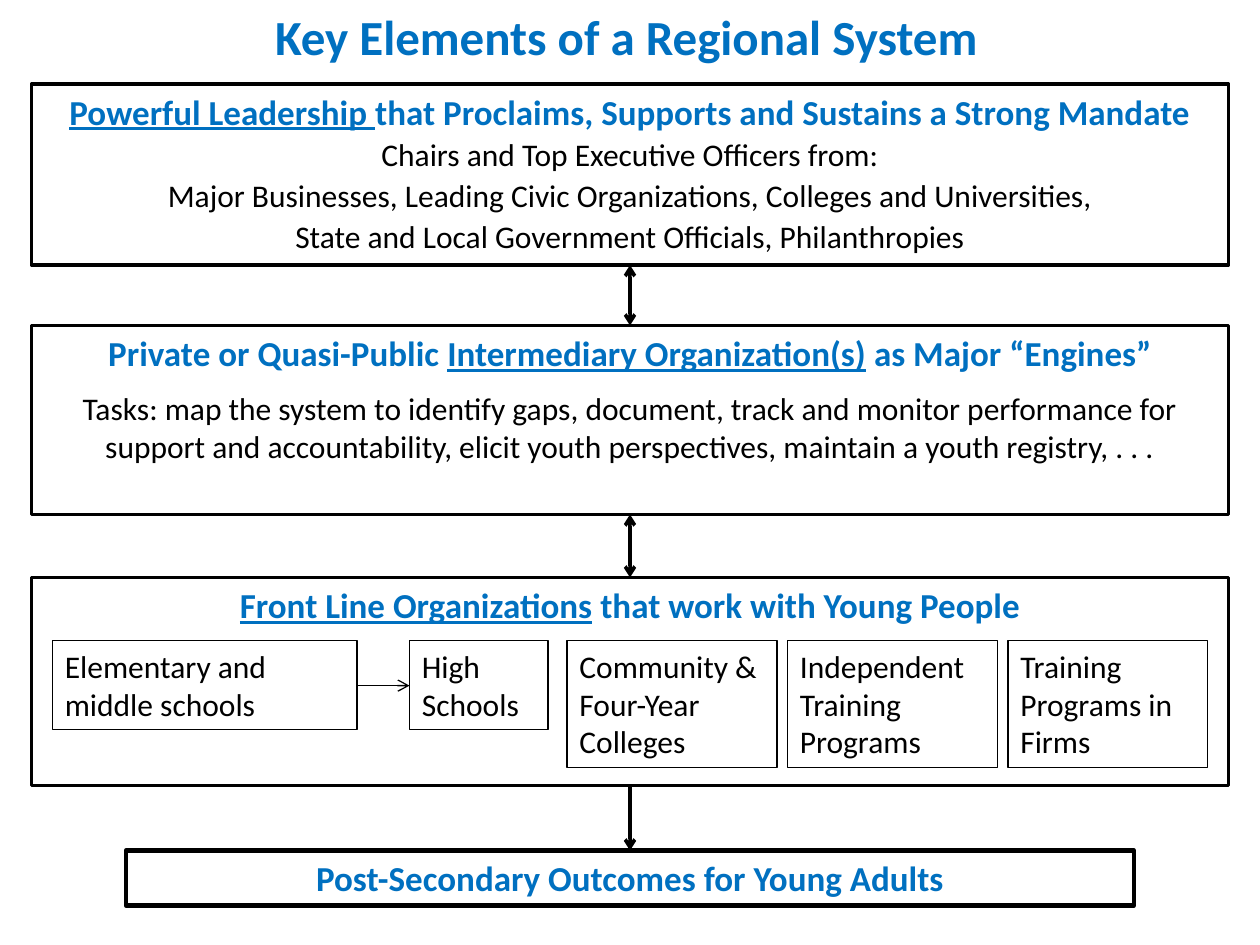
from dataclasses import dataclass

from lxml.etree import SubElement
from pptx import Presentation
from pptx.dml.color import RGBColor
from pptx.enum.shapes import MSO_CONNECTOR, MSO_SHAPE
from pptx.enum.text import MSO_ANCHOR, MSO_AUTO_SIZE, PP_ALIGN
from pptx.oxml.ns import qn
from pptx.util import Inches, Pt

COLORS = {"heading": "0070C0", "body": "000000", "line": "000000"}
FONT = "Calibri"
UNIT = Inches(1) / 12  # the slide is a grid of 120 columns by 90 rows


@dataclass
class Box:
    """A rectangle in grid columns and rows."""
    left: float
    top: float
    width: float
    height: float

    @property
    def center(self):
        return self.left + self.width / 2

    @property
    def bottom(self):
        return self.top + self.height

    def inside(self, left, top, width, height):
        return Box(self.left + left, self.top + top, width, height)

    def lengths(self):
        return [round(value * UNIT) for value in (self.left, self.top, self.width, self.height)]


def color(name):
    return RGBColor.from_string(COLORS[name])


def add_run(paragraph, text, size, color_name, bold=False, underline=False):
    run = paragraph.add_run()
    run.text = text
    font = run.font
    font.name, font.size = FONT, Pt(size)
    font.bold, font.underline = bold, underline
    font.color.rgb = color(color_name)


def add_frame(slide, box, line_width):
    shape = slide.shapes.add_shape(MSO_SHAPE.RECTANGLE, *box.lengths())
    shape.shadow.inherit = False
    shape.fill.background()
    shape.line.color.rgb = color("line")
    shape.line.width = Pt(line_width)
    frame = shape.text_frame
    frame.word_wrap = True
    frame.vertical_anchor = MSO_ANCHOR.TOP
    return frame


def add_title(slide, box, text):
    title = slide.shapes.title
    title.left, title.top, title.width, title.height = box.lengths()
    frame = title.text_frame
    frame.word_wrap = False
    frame.auto_size = MSO_AUTO_SIZE.NONE
    frame.vertical_anchor = MSO_ANCHOR.TOP
    paragraph = frame.paragraphs[0]
    paragraph.alignment = PP_ALIGN.LEFT
    add_run(paragraph, text, 28, "heading", bold=True)


def add_panel(slide, box, heading, body=(), space_before=0, line_width=2):
    """Heading is a list of (text, underlined) pairs; body is a list of paragraphs."""
    frame = add_frame(slide, box, line_width)
    paragraph = frame.paragraphs[0]
    paragraph.alignment = PP_ALIGN.CENTER
    for text, underlined in heading:
        add_run(paragraph, text, 20, "heading", bold=True, underline=underlined)
    for text in body:
        paragraph = frame.add_paragraph()
        paragraph.alignment = PP_ALIGN.CENTER
        paragraph.space_before = Pt(space_before)
        add_run(paragraph, text, 18, "body")


def add_card(slide, box, lines):
    frame = add_frame(slide, box, 0.75)
    for index, text in enumerate(lines):
        paragraph = frame.add_paragraph() if index else frame.paragraphs[0]
        paragraph.alignment = PP_ALIGN.LEFT
        add_run(paragraph, text, 18, "body")


def add_arrow(slide, start, end, line_width, both_ends=False):
    points = [round(value * UNIT) for value in (*start, *end)]
    connector = slide.shapes.add_connector(MSO_CONNECTOR.STRAIGHT, *points)
    connector.line.color.rgb = color("line")
    connector.line.width = Pt(line_width)
    outline = connector.line._get_or_add_ln()
    for tag in ("a:headEnd", "a:tailEnd") if both_ends else ("a:tailEnd",):
        SubElement(outline, qn(tag), type="arrow")
    SubElement(connector._element.spPr, qn("a:effectLst"))


def add_front_line(slide, box):
    add_panel(slide, box, [("Front Line Organizations", True),
                           (" that work with Young People", False)])
    cards = [
        (2, 29, 8.5, ["Elementary and middle schools"]),
        (36, 13.2, 8.5, ["High", "Schools"]),
        (51, 20, 12.1, ["Community & Four-Year Colleges"]),
        (72, 20, 12.1, ["Independent", "Training", "Programs"]),
        (93, 19, 12.1, ["Training Programs in Firms"]),
    ]
    for left, width, height, lines in cards:
        add_card(slide, box.inside(left, 6, width, height), lines)
    arrow_row = box.top + 10.3
    add_arrow(slide, (box.left + 31, arrow_row), (box.left + 36, arrow_row), 0.75)


def main():
    presentation = Presentation()
    presentation.slide_width, presentation.slide_height = Inches(10), Inches(7.5)
    slide = presentation.slides.add_slide(presentation.slide_layouts[5])

    leadership = Box(3, 8, 114, 17.25)
    intermediary = Box(3, 31, 114, 18)
    front_line = Box(3, 55, 114, 19.8)
    outcomes = Box(12, 81, 96, 5.25)

    add_title(slide, Box(25, 0, 72.6, 6.85), "Key Elements of a Regional System")
    add_panel(slide, leadership,
              [("Powerful Leadership ", True),
               ("that Proclaims, Supports and Sustains a Strong Mandate", False)],
              ["Chairs and Top Executive Officers from:",
               "Major Businesses, Leading Civic Organizations, Colleges and Universities,",
               "State and Local Government Officials, Philanthropies"],
              space_before=1.8)
    add_panel(slide, intermediary,
              [("Private or Quasi-Public ", False),
               ("Intermediary Organization(s)", True),
               (" as Major “Engines”", False)],
              ["Tasks: map the system to identify gaps, document, track and monitor "
               "performance for support and accountability, elicit youth perspectives, "
               "maintain a youth registry, . . ."],
              space_before=9)
    add_front_line(slide, front_line)
    add_panel(slide, outcomes, [("Post-Secondary Outcomes for Young Adults", False)],
              line_width=2.5)

    panels = [leadership, intermediary, front_line, outcomes]
    for upper, lower in zip(panels, panels[1:]):
        add_arrow(slide, (upper.center, upper.bottom), (lower.center, lower.top), 2,
                  both_ends=lower is not outcomes)

    presentation.save("out.pptx")


if __name__ == "__main__":
    main()
